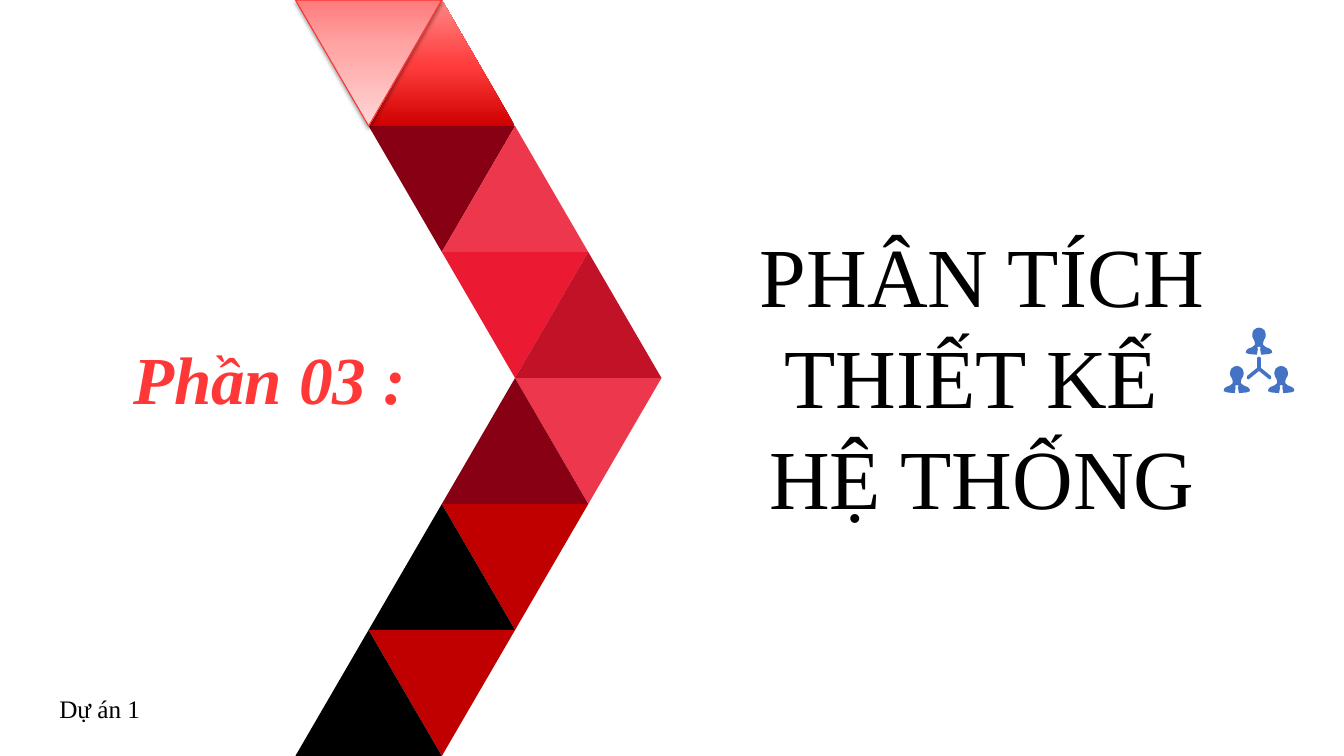
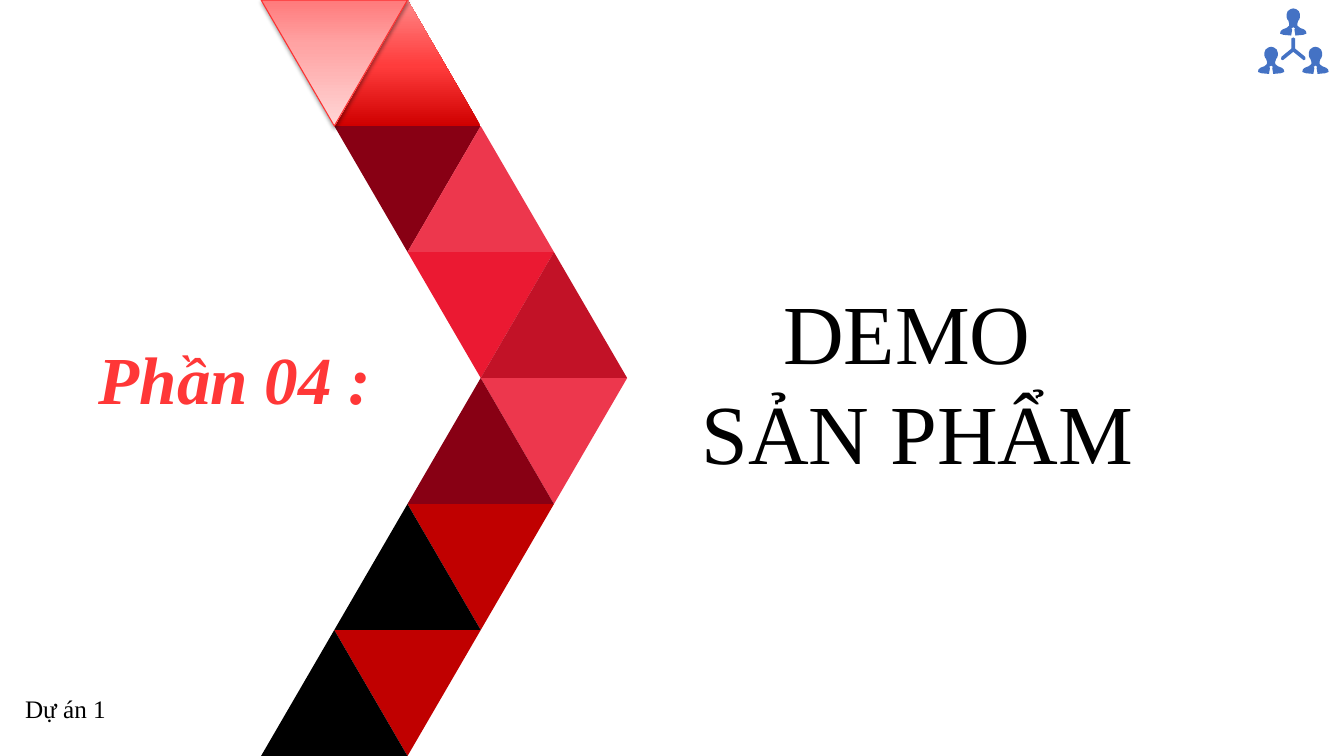
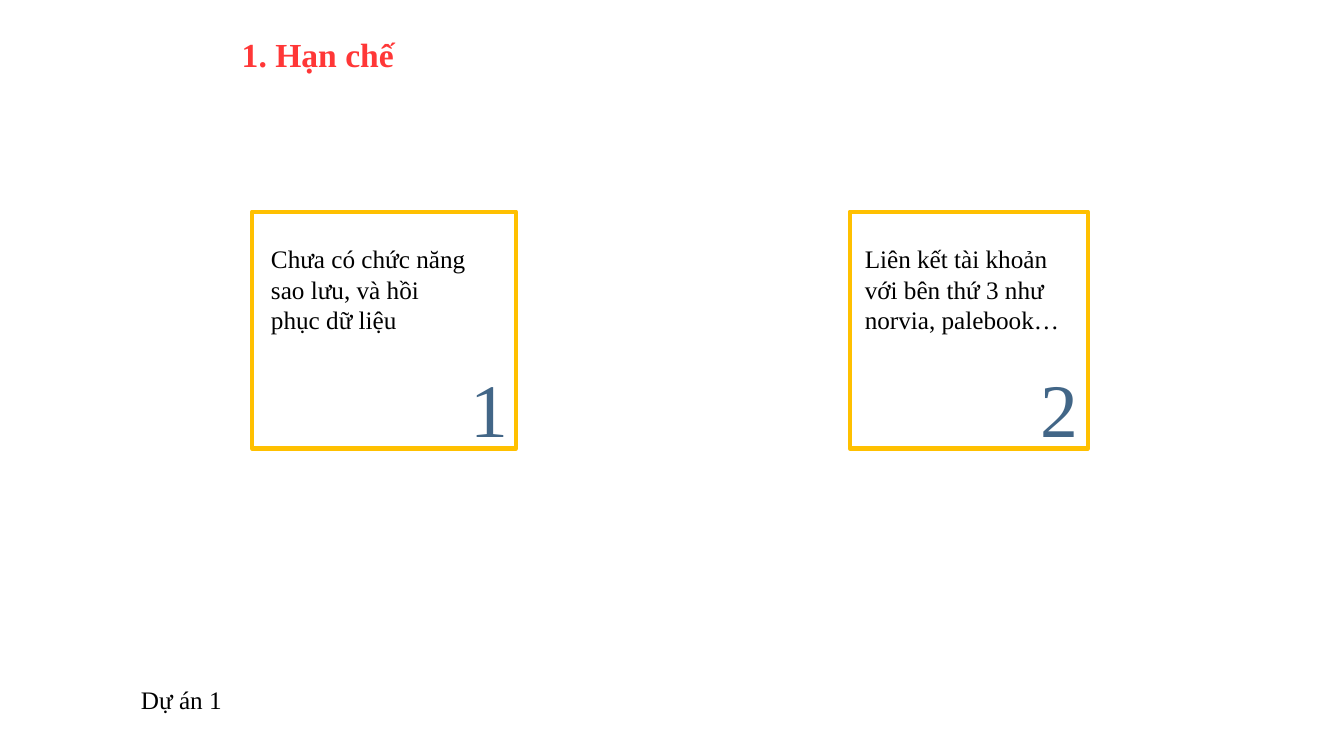
from lxml import etree
from pptx import Presentation
from pptx.dml.color import RGBColor
from pptx.enum import shapes, text
from pptx.oxml import ns
from pptx.util import Pt

FONT = "Times New Roman"
COLORS = {
    "heading": "FF3737", "body": "000000", "number": "426687",
    "card": "FFC000", "icon": "4472C4",
    "maroon": "880014", "rose": "ED374D", "scarlet": "EB1932",
    "crimson": "C21227", "red": "C00000", "black": "000000",
    "outline": "FD3030", "shadow": "000000",
}
GRADIENTS = {
    "bright": [(0, "CF0000"), (48, "FF3C3C"), (100, "FF8787")],
    "pale": [(0, "FF7A7B"), (35, "FFA3A3"), (100, "FFD6D6")],
}
TILE_WIDTH, TILE_HEIGHT = 104.6, 90
# half-tile column, row, fill, points up
TILES = [
    (1, 0, "bright", True), (1, 1, "maroon", False),
    (0, 0, "pale", False), (2, 1, "rose", True),
    (2, 2, "scarlet", False), (3, 2, "crimson", True),
    (3, 3, "rose", False), (2, 3, "maroon", True),
    (2, 4, "red", False), (1, 4, "black", True),
    (1, 5, "red", False), (0, 5, "black", True),
]
# right halves of symmetric outlines, measured from the top of the axis
PERSON = [
    (0, 0), (2, 0.5), (4, 2), (4.8, 4.3), (4.8, 6.2), (4.2, 8), (3.6, 8.6),
    (2.9, 10.8), (3, 12.4), (4.8, 13.9), (7.6, 15), (9, 16.2), (9.4, 18),
    (7, 18.9), (1.5, 19.4), (0.8, 15.1), (1.4, 14.4), (0, 13.4),
]
FORK = [(0, 20.7), (1.3, 21.5), (1.3, 28.7), (8.5, 34.6), (8.7, 36.4),
        (7.4, 37), (0, 31)]


def rgb(name):
    return RGBColor.from_string(COLORS[name])


def add_text(slide, box, content, size, color="body", bold=False, italic=False,
             align=text.PP_ALIGN.LEFT):
    frame = slide.shapes.add_textbox(*map(Pt, box)).text_frame
    frame.word_wrap = True
    frame.text = content
    for paragraph in frame.paragraphs:
        paragraph.alignment = align
        for run in paragraph.runs:
            font = run.font
            font.name, font.size = FONT, Pt(size)
            font.bold, font.italic = bold, italic
            font.color.rgb = rgb(color)


def add_color(parent, value):
    return etree.SubElement(parent, ns.qn("a:srgbClr"), val=value)


def fill_gradient(shape, stops):
    """Fill from bottom to top with any number of stops."""
    shape.fill.gradient()
    shape.fill.gradient_angle = 90
    stop_list = shape.element.spPr.find(ns.qn("a:gradFill")).find(ns.qn("a:gsLst"))
    for stop in list(stop_list):
        stop_list.remove(stop)
    for position, value in stops:
        stop = etree.SubElement(stop_list, ns.qn("a:gs"), pos=str(position * 1000))
        add_color(stop, value)


def add_shadow(shape):
    effects = shape.element.spPr.find(ns.qn("a:effectLst"))
    shadow = etree.SubElement(
        effects, ns.qn("a:outerShdw"), blurRad=str(Pt(3.1)), dist=str(Pt(1.6)),
        dir="5400000", rotWithShape="0")
    color = add_color(shadow, COLORS["shadow"])
    etree.SubElement(color, ns.qn("a:alpha"), val="38000")


def add_tile(slide, left, top, fill, points_up):
    tile = slide.shapes.add_shape(
        shapes.MSO_SHAPE.ISOSCELES_TRIANGLE,
        Pt(left), Pt(top), Pt(TILE_WIDTH), Pt(TILE_HEIGHT))
    tile.rotation = 0 if points_up else 180
    tile.shadow.inherit = False
    tile.line.fill.background()
    if fill in GRADIENTS:
        fill_gradient(tile, GRADIENTS[fill])
    else:
        tile.fill.solid()
        tile.fill.fore_color.rgb = rgb(fill)
    if fill == "pale":
        tile.line.color.rgb = rgb("outline")
        tile.line.width = Pt(0.75)
        add_shadow(tile)


def add_chevron(slide, left):
    for column, row, fill, points_up in TILES:
        add_tile(slide, left + column * TILE_WIDTH / 2, row * TILE_HEIGHT,
                 fill, points_up)


def mirrored(half, axis, top):
    """Close a half outline around its vertical axis, in EMU."""
    outline = half + [(-x, y) for x, y in reversed(half)]
    return [(Pt(axis + x), Pt(top + y)) for x, y in outline]


def add_team_icon(slide, axis, top):
    contours = [mirrored(FORK, axis, top)]
    for across, down in [(0, 0), (-15.84, 27.4), (15.84, 27.4)]:
        contours.append(mirrored(PERSON, axis + across, top + down))
    builder = slide.shapes.build_freeform(*contours[0][0])
    for contour in contours:
        builder.move_to(*contour[0])
        builder.add_line_segments(contour[1:], close=True)
    icon = builder.convert_to_shape()
    icon.shadow.inherit = False
    icon.fill.solid()
    icon.fill.fore_color.rgb = rgb("icon")
    icon.line.fill.background()


def add_footer(slide, left, top):
    add_text(slide, (left, top, 204, 29), "Dự án 1", 18)


def add_section(slide, left, label, title, title_box, icon_at):
    """Section opener whose label and footer follow the chevron's left edge."""
    add_chevron(slide, left)
    add_text(slide, (left - 123, 237.6, 297, 65), label, 48, "heading",
             bold=True, italic=True)
    add_text(slide, title_box, title, 60, align=text.PP_ALIGN.CENTER)
    add_team_icon(slide, *icon_at)
    add_footer(slide, left - 175.7, 491.8)


def add_card(slide, left, width, content, text_left, text_width, number, number_right):
    frame = slide.shapes.add_shape(
        shapes.MSO_SHAPE.RECTANGLE, Pt(left), Pt(151.2), Pt(width), Pt(169.2))
    frame.shadow.inherit = False
    frame.fill.background()
    frame.line.color.rgb = rgb("card")
    frame.line.width = Pt(3)
    add_text(slide, (text_left, 170.6, text_width, 73), content, 18)
    add_text(slide, (number_right - 118, 254.9, 118, 73), number, 54, "number",
             align=text.PP_ALIGN.RIGHT)


def main():
    presentation = Presentation()
    presentation.slide_width, presentation.slide_height = Pt(960), Pt(540)
    blank = presentation.slide_layouts[6]
    design, demo, limits = [presentation.slides.add_slide(blank) for _ in range(3)]

    add_section(design, 211, "Phần 03 :", "PHÂN TÍCH THIẾT KẾ \nHỆ THỐNG",
                (485.3, 156.2, 432, 225), (899.3, 234))
    add_section(demo, 186.5, "Phần 04 :", "DEMO \nSẢN PHẨM",
                (460.8, 196.6, 388.8, 153), (923.8, 6))

    add_text(limits, (165.6, 20.9, 304, 36), "1. Hạn chế", 24, "heading", bold=True)
    add_card(limits, 180, 188.6, "Chưa có chức năng sao lưu, và hồi phục dữ liệu",
             186.5, 158.4, "1", 370)
    add_card(limits, 607, 170,
             "Liên kết tài khoản với bên thứ 3 như norvia, palebook…",
             610.6, 170, "2", 777)
    add_footer(limits, 93.6, 485.3)
    presentation.save("out.pptx")


if __name__ == "__main__":
    main()
